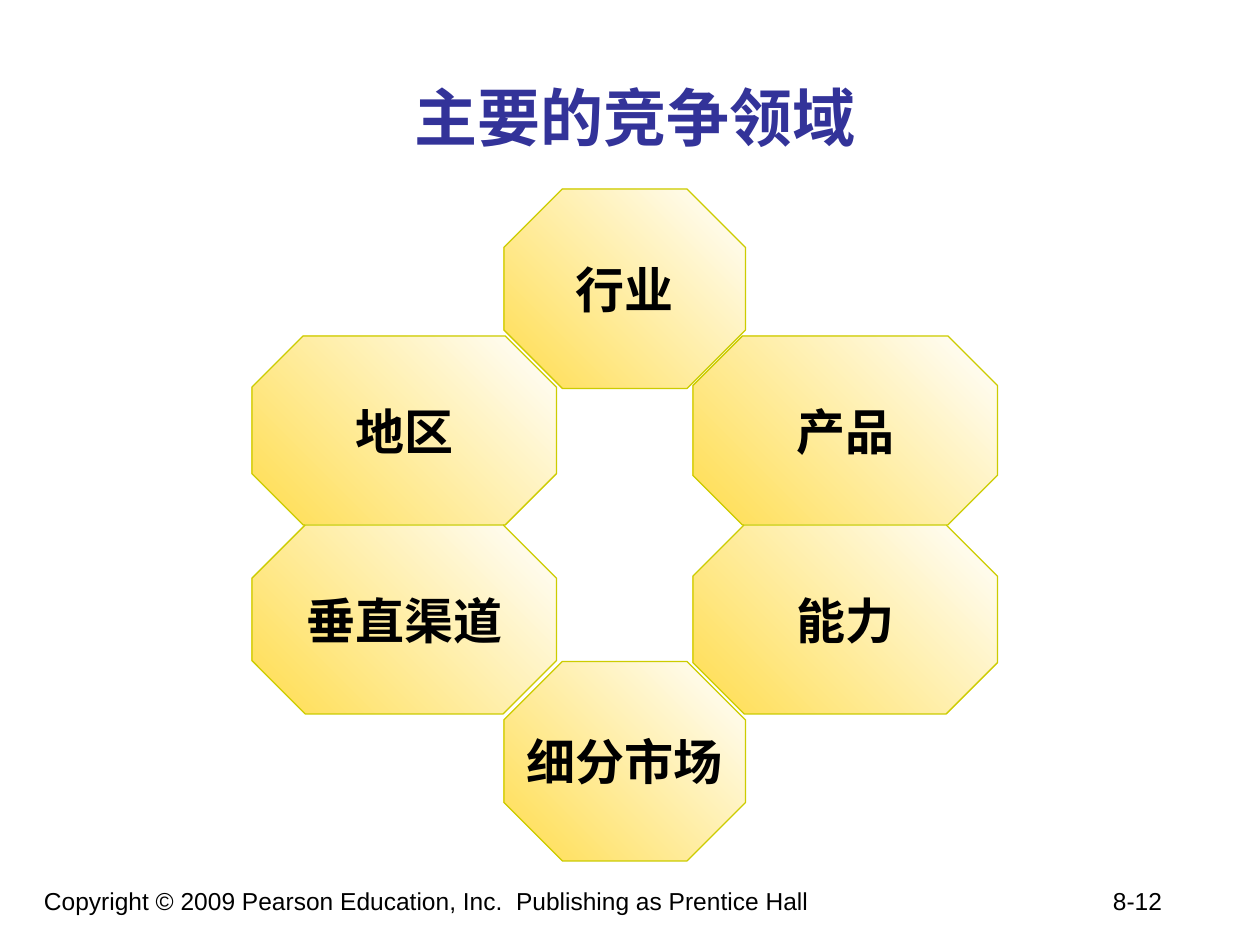
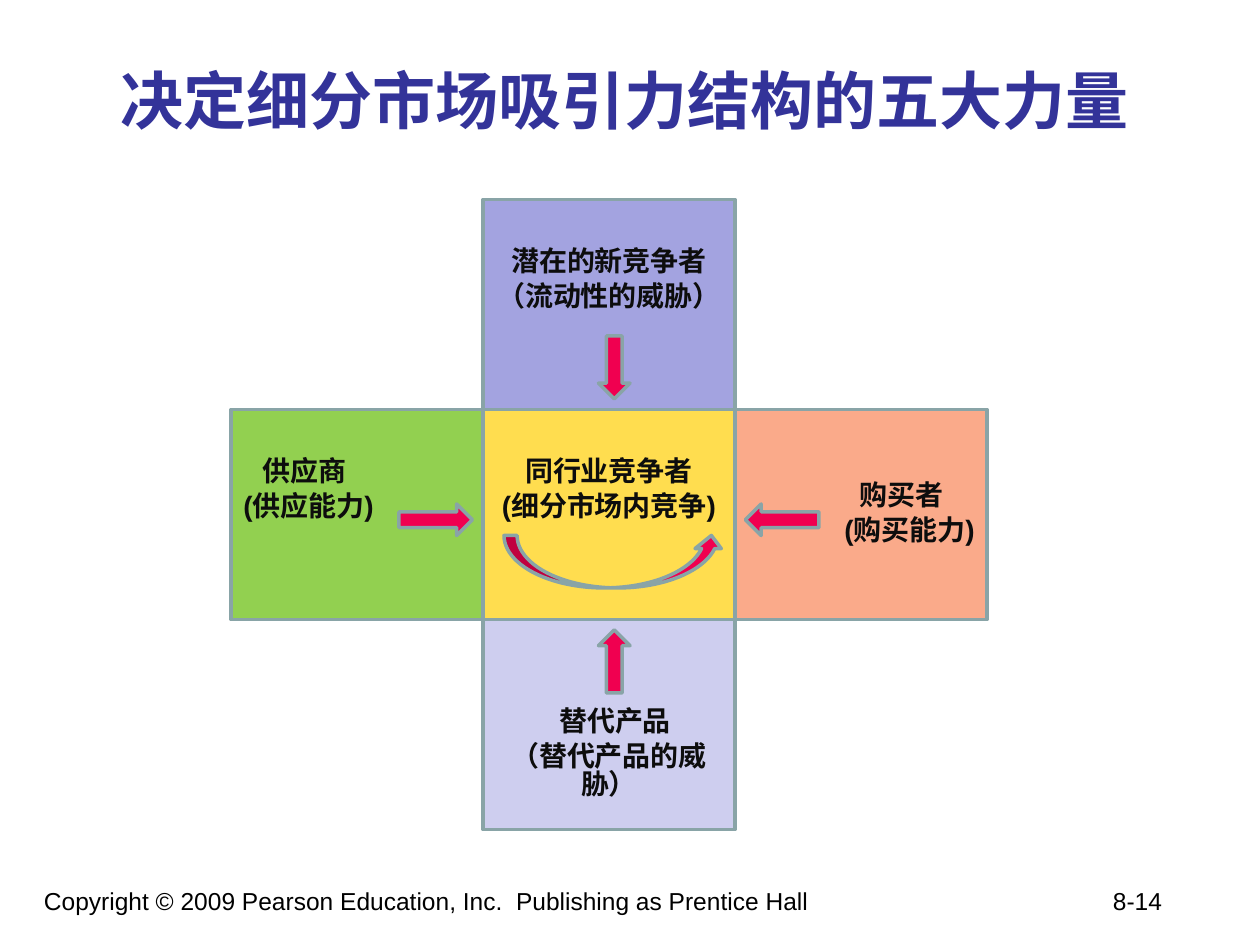
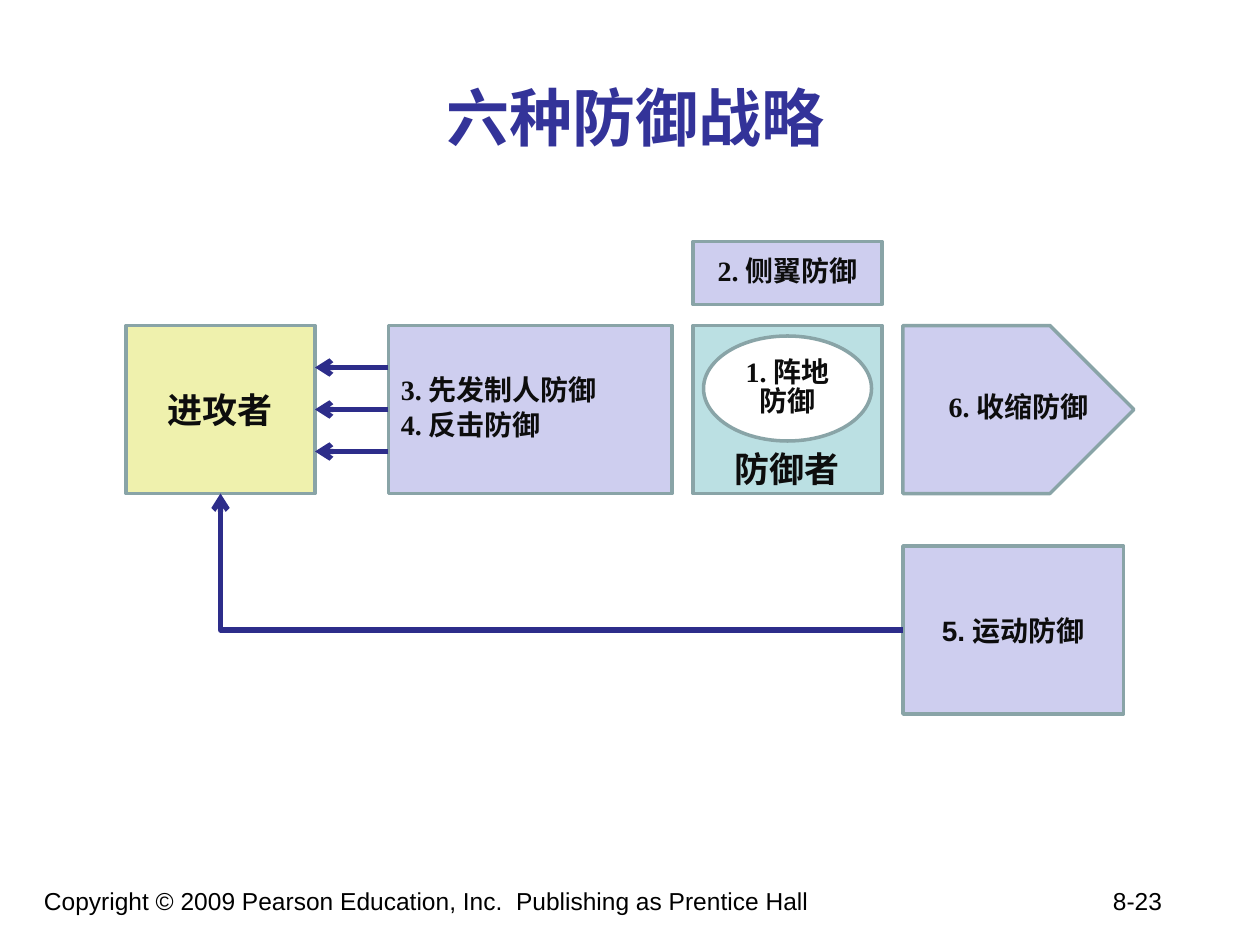
from lxml import etree
from pptx import Presentation
from pptx import util as u
from pptx.dml import color as colors
from pptx.enum import shapes, text
from pptx.oxml import ns

GRID = 25.4 / 120  # centimetres; all layout numbers count these steps
KIND = shapes.MSO_SHAPE
ALIGN = text.PP_ALIGN
ANCHOR = text.MSO_ANCHOR
CJK_FONT = "Noto Sans CJK SC"
NAVY, INK, BLACK, WHITE = "333399", "0D0D0D", "000000", "FFFFFF"
LAVENDER, YELLOW, RED = "CECEEF", "FFDD4F", "F00050"
OUTLINE, ARROW, OLIVE = "89A4A7", "2D2D8A", "CCCC00"
COPYRIGHT = "Copyright © 2009 Pearson Education, Inc.  Publishing as Prentice Hall"


def steps(count):
    return u.Cm(count * GRID)


def rgb(value):
    return colors.RGBColor.from_string(value)


def write(box, words, size=16, color=INK, font="Arial", bold=True, align=ALIGN.CENTER,
          anchor=ANCHOR.MIDDLE, top=0.13, bottom=0.13, wrap=True, gap=4, spacing=None,
          indents=()):
    """Fill a shape with one paragraph for each line of words; return the paragraphs."""
    frame = box.text_frame
    frame.word_wrap = wrap
    frame.vertical_anchor = anchor
    frame.margin_left = frame.margin_right = u.Cm(0.25)
    frame.margin_top, frame.margin_bottom = u.Cm(top), u.Cm(bottom)
    for index, line in enumerate(words.split("\n")):
        para = frame.add_paragraph() if index else frame.paragraphs[0]
        para.alignment = align
        if index:
            para.space_before = u.Pt(gap)
        if spacing:
            para.line_spacing = spacing
        if index < len(indents):
            para._p.get_or_add_pPr().set("marL", str(u.Cm(indents[index])))
        span = para.add_run()
        span.text = line
        span.font.size, span.font.bold, span.font.name = u.Pt(size), bold, font
        span.font.color.rgb = rgb(color)
        east_asian = etree.SubElement(span._r.get_or_add_rPr(), ns.qn("a:ea"))
        east_asian.set("typeface", CJK_FONT)
    return frame.paragraphs


def paint(shape, fill, line=OUTLINE, weight=2):
    shape.shadow.inherit = False
    shape.fill.solid()
    shape.fill.fore_color.rgb = rgb(fill)
    shape.line.color.rgb = rgb(line)
    shape.line.width = u.Pt(weight)
    return shape


def add_block(page, kind, left, top, width, height, fill, **outline):
    shape = page.shapes.add_shape(kind, *map(steps, (left, top, width, height)))
    return paint(shape, fill, **outline)


def add_arrow(page, start, end, kind=shapes.MSO_CONNECTOR.STRAIGHT):
    line = page.shapes.add_connector(kind, *map(steps, (*start, *end)))
    line.line.color.rgb = rgb(ARROW)
    line.line.width = u.Pt(3)
    etree.SubElement(line.line._get_or_add_ln(), ns.qn("a:tailEnd")).set("type", "arrow")
    etree.SubElement(line._element.spPr, ns.qn("a:effectLst"))
    return line


def add_page(deck, title, number, left=10, top=3.6):
    """Start a slide with its footer and its title, whose box begins at left, top."""
    page = deck.slides.add_slide(deck.slide_layouts[6])
    footer = page.shapes.add_textbox(*map(steps, (3, 83.8, 112, 6.2)))
    para = write(footer, f"{COPYRIGHT}\t{number}", size=14, color=BLACK, bold=False,
                 align=ALIGN.LEFT, anchor=ANCHOR.TOP)[0]
    tabs = etree.SubElement(para._p.get_or_add_pPr(), ns.qn("a:tabLst"))
    stop = etree.SubElement(tabs, ns.qn("a:tab"))
    stop.set("pos", str(u.Cm(21.55)))
    stop.set("algn", "l")
    heading = page.shapes.add_textbox(*map(steps, (left, top, 101, 15)))
    write(heading, title, size=36, color=NAVY, font=CJK_FONT)
    return page


def add_octagon_ring(page, left, top):
    tall, wide = (23, 19), (29, 18)
    octagons = [
        ("行业", 24, 0, tall, 0.293), ("产品", 42, 14, wide, 0.262),
        ("细分市场", 24, 45, tall, 0.293), ("地区", 0, 14, wide, 0.271),
        ("能力", 42, 32, wide, 0.271), ("垂直渠道", 0, 32, wide, 0.282),
    ]
    for label, across, down, size, corner in octagons:
        octagon = add_block(page, KIND.OCTAGON, left + across, top + down, *size,
                            YELLOW, line=OLIVE, weight=0.75)
        octagon.adjustments[0] = corner
        octagon.fill.gradient()
        octagon.fill.gradient_angle = 225
        for stop, position, shade in zip(octagon.fill.gradient_stops, (0, 1), (WHITE, YELLOW)):
            stop.position = position
            stop.color.rgb = rgb(shade)
        write(octagon, label, size=28, color=BLACK, wrap=False)


def add_five_forces(page, left, top):
    """Draw a cross of five equal cells and the arrows that lead to its centre."""
    width, height = 24, 20
    high = dict(anchor=ANCHOR.TOP, top=1)
    cells = [
        (1, 0, "A3A3E0", "潜在的新竞争者\n（流动性的威胁）", high),
        (1, 1, YELLOW, "同行业竞争者\n(细分市场内竞争)", high),
        (1, 2, LAVENDER, "替代产品\n（替代产品的威胁）",
         dict(anchor=ANCHOR.TOP, top=1.8, indents=[0.25])),
        (0, 1, "92D050", "供应商\n(供应能力)", dict(high, align=ALIGN.LEFT, indents=[0.38])),
        (2, 1, "FAAA8A", "购买者\n(购买能力)", dict(indents=[1.62])),
    ]
    for column, row, fill, label, style in cells:
        cell = add_block(page, KIND.RECTANGLE, left + column * width, top + row * height,
                         width, height, fill)
        paras = write(cell, label, spacing=0.84, **style)
    paras[-1].alignment = ALIGN.RIGHT  # the buyers' cell comes last

    arrows = [
        (KIND.DOWN_ARROW, 35, 13, 3, 6), (KIND.RIGHT_ARROW, 16, 29, 7, 3),
        (KIND.LEFT_ARROW, 49, 29, 7, 3), (KIND.UP_ARROW, 35, 41, 3, 6),
        (KIND.CURVED_UP_ARROW, 26, 32, 21, 5),
    ]
    for kind, across, down, *size in arrows:
        add_block(page, kind, left + across, top + down, *size, RED)


def add_defence_map(page, left, top):
    height = 16
    row = top + 8
    middle = row + height / 2
    serif = dict(font="Times New Roman", spacing=0.84)

    attacker = add_block(page, KIND.RECTANGLE, left, row, 18, height, "EFF1AD")
    write(attacker, "进攻者", size=20)
    counter = add_block(page, KIND.RECTANGLE, left + 25, row, 27, height, LAVENDER)
    write(counter, "3. 先发制人防御\n4. 反击防御", align=ALIGN.LEFT, **serif)
    defender = add_block(page, KIND.RECTANGLE, left + 54, row, 18, height, "BBE0E3")
    write(defender, "防御者", size=20, anchor=ANCHOR.BOTTOM, bottom=0.08)

    corners = [(74, 0), (88, 0), (96, 8), (88, 16), (74, 16)]
    points = [(steps(left + across), steps(row + down)) for across, down in corners]
    outline = page.shapes.build_freeform(*points[0])
    outline.add_line_segments(points[1:])
    write(paint(outline.convert_to_shape(), LAVENDER), "6. 收缩防御", **serif)

    flank = add_block(page, KIND.RECTANGLE, left + 54, top, 18, 6, LAVENDER)
    write(flank, "2. 侧翼防御", **serif)
    mobile = add_block(page, KIND.RECTANGLE, left + 74, top + 29, 21, height, LAVENDER)
    write(mobile, "5. 运动防御")

    # An elbow of one bend, turned to run left from the mobile block and then up
    elbow = add_arrow(page, (left + 9, row + height), (left + 74, top + 37),
                      shapes.MSO_CONNECTOR.ELBOW)
    elbow._element.spPr.find(ns.qn("a:prstGeom")).set("prst", "bentConnector2")
    elbow._element.spPr.find(ns.qn("a:xfrm")).set("rot", str(180 * 60000))

    for offset in (-4, 0, 4):
        strike = add_arrow(page, (left + 25, middle + offset), (left + 18, middle + offset))
        if offset == 0:
            strike.begin_connect(counter, 1)
            strike.end_connect(attacker, 3)

    position = add_block(page, KIND.OVAL, left + 55, row + 1, 16, 10, WHITE)
    write(position, "1. 阵地防御", **serif)


def main():
    deck = Presentation()
    deck.slide_width, deck.slide_height = u.Cm(25.4), u.Cm(19.05)
    add_octagon_ring(add_page(deck, "主要的竞争领域", "8-12"), 24, 18)
    add_five_forces(add_page(deck, "决定细分市场吸引力结构的五大力量", "8-14", 9, 2), 22, 19)
    add_defence_map(add_page(deck, "六种防御战略", "8-23"), 12, 23)
    deck.save("out.pptx")


if __name__ == "__main__":
    main()
